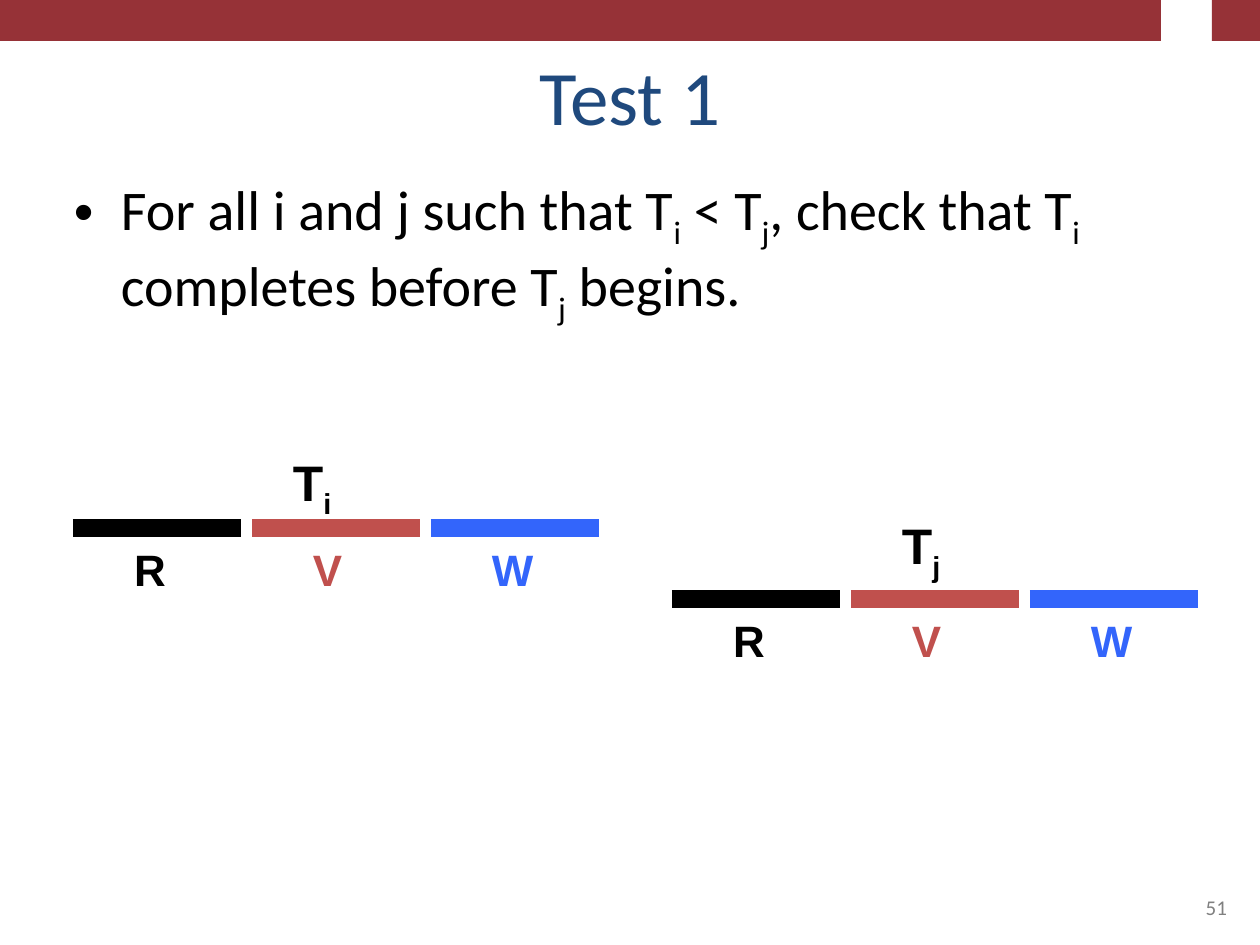
"""Slide on the first validation test for two ordered transactions."""
from lxml import etree
from pptx import Presentation
from pptx.dml.color import RGBColor
from pptx.enum.shapes import MSO_CONNECTOR, MSO_SHAPE
from pptx.enum.text import MSO_ANCHOR, MSO_AUTO_SIZE, PP_ALIGN
from pptx.oxml.ns import qn
from pptx.util import Emu, Pt

LEFT, CENTER, RIGHT = PP_ALIGN.LEFT, PP_ALIGN.CENTER, PP_ALIGN.RIGHT
TOP, BOTTOM = MSO_ANCHOR.TOP, MSO_ANCHOR.BOTTOM
RECT = MSO_SHAPE.RECTANGLE
STRAIGHT = MSO_CONNECTOR.STRAIGHT
EMU_PER_PX = 914400 / 126
BLACK, MAROON = "000000", "963237"
BAND_PIECES = [(0, 677), (453, 687), (1115, 46), (1212, 48)]
PHASES = [("R", BLACK, 55), ("V", "C0504D", 53), ("W", "3365FB", 64)]
PHASE_LENGTH, PHASE_PITCH = 168, 179


def px(n):
    """Turn pixels into EMU."""
    return Emu(round(n * EMU_PER_PX))


def rgb(color):
    """Turn a hex string into a colour."""
    return RGBColor.from_string(color)


def add_bullet(p, indent):
    """Give a paragraph a hanging round bullet."""
    pPr = p._p.get_or_add_pPr()
    pPr.set("marL", str(px(indent)))
    pPr.set("indent", str(-px(indent)))
    etree.SubElement(pPr, qn("a:buFont")).set("typeface", "Arial")
    etree.SubElement(pPr, qn("a:buChar")).set("char", "•")


def add_text(slide, text, x, y, w, h, size, font="Calibri", color=BLACK, bold=False,
             align=LEFT, anchor=TOP, inset=(11, 5), wrap=True, bullet_indent=0):
    """Add a text box in which every second part between bars is a subscript."""
    tf = slide.shapes.add_textbox(px(x), px(y), px(w), px(h)).text_frame
    tf.word_wrap = wrap
    tf.auto_size = MSO_AUTO_SIZE.NONE if wrap else MSO_AUTO_SIZE.SHAPE_TO_FIT_TEXT
    tf.vertical_anchor = anchor
    tf.margin_left = tf.margin_right = px(inset[0])
    tf.margin_top = tf.margin_bottom = px(inset[1])
    p = tf.paragraphs[0]
    p.alignment = align
    if bullet_indent:
        add_bullet(p, bullet_indent)
    for i, part in enumerate(text.split("|")):
        if not part:
            continue
        r = p.add_run()
        r.text = part
        r.font.name, r.font.size, r.font.bold = font, Pt(size), bold
        r.font.color.rgb = rgb(color)
        if i % 2:
            r._r.get_or_add_rPr().set("baseline", "-25000")


def add_block(slide, x, y, w, h, color):
    """Add a plain filled rectangle."""
    sp = slide.shapes.add_shape(RECT, px(x), px(y), px(w), px(h))
    sp.shadow.inherit = False
    sp.fill.solid()
    sp.fill.fore_color.rgb = rgb(color)
    sp.line.fill.background()


def add_bar(slide, x, y, length, color):
    """Add a thick horizontal line."""
    line = slide.shapes.add_connector(STRAIGHT, px(x), px(y), px(x + length), px(y))
    line.line.color.rgb = rgb(color)
    line.line.width = Pt(10)
    etree.SubElement(line._element.spPr, qn("a:effectLst"))


def add_transaction(slide, name, x, y, name_x, name_y):
    """Add the phases of one transaction with their labels and its name."""
    label = {"font": "Arial", "bold": True, "wrap": False}
    for i, (phase, color, width) in enumerate(PHASES):
        left = x + i * PHASE_PITCH
        add_bar(slide, left, y, PHASE_LENGTH, color)
        add_text(slide, phase, left + 50, y + 10, width, 64, 25.1, color=color, **label)
    add_text(slide, name, name_x, name_y, 62, 72, 28.5, **label)


def main():
    """Build and save the slide."""
    prs = Presentation()
    prs.slide_width, prs.slide_height = px(1260), px(945)
    slide = prs.slides.add_slide(prs.slide_layouts[6])
    for x, width in BAND_PIECES:
        add_block(slide, x, 0, width, 41, MAROON)
    add_text(slide, "Test 1", 63, 38, 1134, 113, 44, color="1F497D",
             align=CENTER, anchor=BOTTOM, inset=(13, 10))
    add_text(slide, "For all i and j such that T|i| < T|j|, check that T|i"
             "| completes before T|j| begins.", 63, 168, 1134, 677, 32,
             inset=(11, 6), bullet_indent=47)
    add_transaction(slide, "T|i", 73, 528, 282, 447)
    add_transaction(slide, "T|j", 672, 599, 891, 510)
    add_text(slide, "51", 903, 861, 337, 65, 12, color="808080",
             align=RIGHT, anchor=BOTTOM, inset=(13, 6))
    prs.save("out.pptx")


if __name__ == "__main__":
    main()
